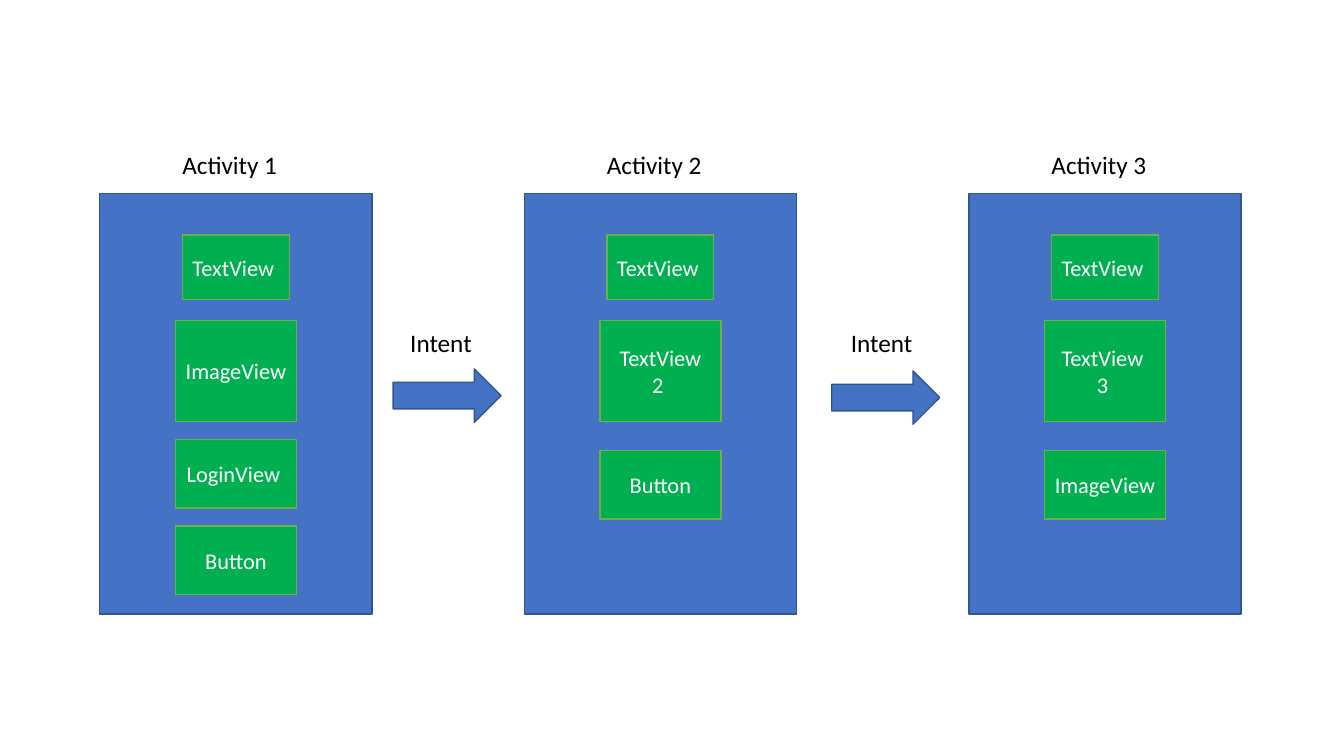
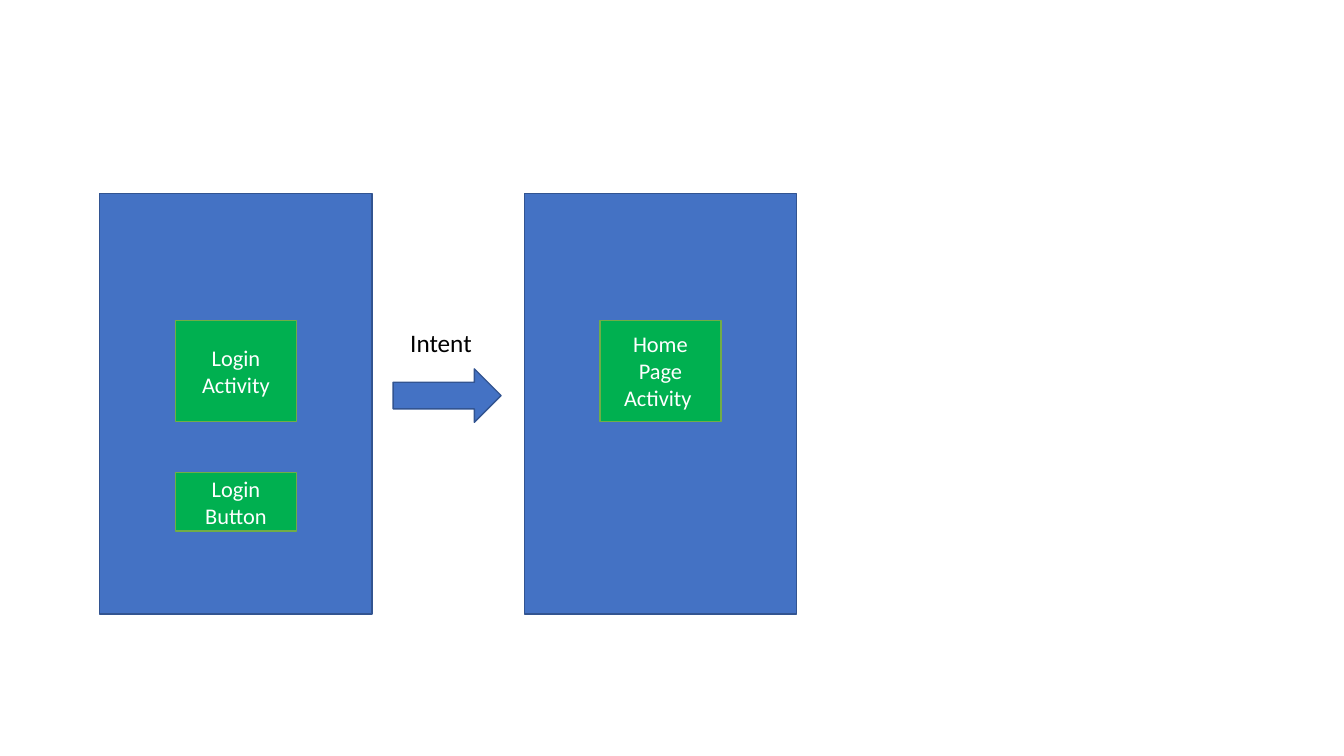
"""Build two slides of app activities, their views and the intents between them."""
from dataclasses import dataclass

from pptx import Presentation
from pptx.dml.color import RGBColor
from pptx.enum.shapes import MSO_SHAPE
from pptx.enum.text import MSO_ANCHOR, MSO_AUTO_SIZE, PP_ALIGN
from pptx.util import Inches, Pt


@dataclass(frozen=True)
class Theme:
    font: str = "Calibri"
    label_size: int = 18
    view_size: int = 16
    panel: str = "4472C4"
    panel_line: str = "325491"
    view: str = "00B050"
    view_line: str = "70AD47"
    view_text: str = "FFFFFF"
    label_text: str = "000000"


THEME = Theme()
SLIDE_SIZE = 13.33, 7.5
PANEL_LEFTS = 0.99, 5.2, 9.61
PANEL_TOP, PANEL_WIDTH, PANEL_HEIGHT = 1.92, 2.7, 4.17
TITLE_INDENT, TITLE_TOP, TITLE_WIDTH = 0.72, 1.43, 1.15
INTENT_TOP, INTENT_WIDTH, LABEL_HEIGHT = 3.2, 0.82, 0.4
ARROW_SIZE = 1.07, 0.53
VIEW_WIDTH = 1.2
HEADER = 1.06, 2.33, 0.64
MAIN = VIEW_WIDTH, 3.18, 1.0
LOWER = VIEW_WIDTH, 4.47, 0.68

INTENTS = [
    {"label": "Intent", "label_left": 3.97, "arrow": (3.9, 3.66)},
    {"label": "Intent", "label_left": 8.34, "arrow": (8.25, 3.68)},
]
SLIDES = [
    [
        ("Activity 1", [
            ("TextView ", HEADER),
            ("ImageView ", MAIN),
            ("LoginView ", (VIEW_WIDTH, 4.36, 0.68)),
            ("Button", (VIEW_WIDTH, 5.22, 0.68)),
        ]),
        ("Activity 2", [("TextView ", HEADER), ("TextView\n2 ", MAIN), ("Button", LOWER)]),
        ("Activity 3", [("TextView ", HEADER), ("TextView \n3 ", MAIN), ("ImageView", LOWER)]),
    ],
    [
        (None, [("Login Activity", MAIN), ("Login Button", (VIEW_WIDTH, 4.69, 0.58))]),
        (None, [("Home Page Activity ", MAIN)]),
    ],
]


def write_text(shape, text, *, size, color, align=PP_ALIGN.LEFT, anchor=MSO_ANCHOR.TOP, wrap=True):
    frame = shape.text_frame
    frame.text = text
    frame.word_wrap = wrap
    frame.vertical_anchor = anchor
    for paragraph in frame.paragraphs:
        paragraph.alignment = align
        font = paragraph.font
        font.name, font.size = THEME.font, Pt(size)
        font.color.rgb = RGBColor.from_string(color)


def add_block(slide, box, fill, line, kind=MSO_SHAPE.RECTANGLE):
    shape = slide.shapes.add_shape(kind, *map(Inches, box))
    shape.shadow.inherit = False
    shape.fill.solid()
    shape.fill.fore_color.rgb = RGBColor.from_string(fill)
    shape.line.color.rgb = RGBColor.from_string(line)
    shape.line.width = Pt(1)
    return shape


def add_label(slide, text, left, top, width):
    label = slide.shapes.add_textbox(*map(Inches, (left, top, width, LABEL_HEIGHT)))
    write_text(label, text, size=THEME.label_size, color=THEME.label_text, wrap=False)
    label.text_frame.auto_size = MSO_AUTO_SIZE.SHAPE_TO_FIT_TEXT


def add_activity(slide, left, title, views):
    panel_box = left, PANEL_TOP, PANEL_WIDTH, PANEL_HEIGHT
    add_block(slide, panel_box, THEME.panel, THEME.panel_line)
    for text, (width, top, height) in views:
        view_box = left + (PANEL_WIDTH - width) / 2, top, width, height
        view = add_block(slide, view_box, THEME.view, THEME.view_line)
        write_text(view, text, size=THEME.view_size, color=THEME.view_text,
                   align=PP_ALIGN.CENTER, anchor=MSO_ANCHOR.MIDDLE)
    if title:
        add_label(slide, title, left + TITLE_INDENT, TITLE_TOP, TITLE_WIDTH)


def add_intent(slide, label, label_left, arrow):
    add_block(slide, arrow + ARROW_SIZE, THEME.panel, THEME.panel_line, MSO_SHAPE.RIGHT_ARROW)
    add_label(slide, label, label_left, INTENT_TOP, INTENT_WIDTH)


presentation = Presentation()
presentation.slide_width, presentation.slide_height = map(Inches, SLIDE_SIZE)
for activities in SLIDES:
    slide = presentation.slides.add_slide(presentation.slide_layouts[6])
    for left, (title, views) in zip(PANEL_LEFTS, activities):
        add_activity(slide, left, title, views)
    for intent in INTENTS[:len(activities) - 1]:
        add_intent(slide, **intent)
presentation.save("out.pptx")
